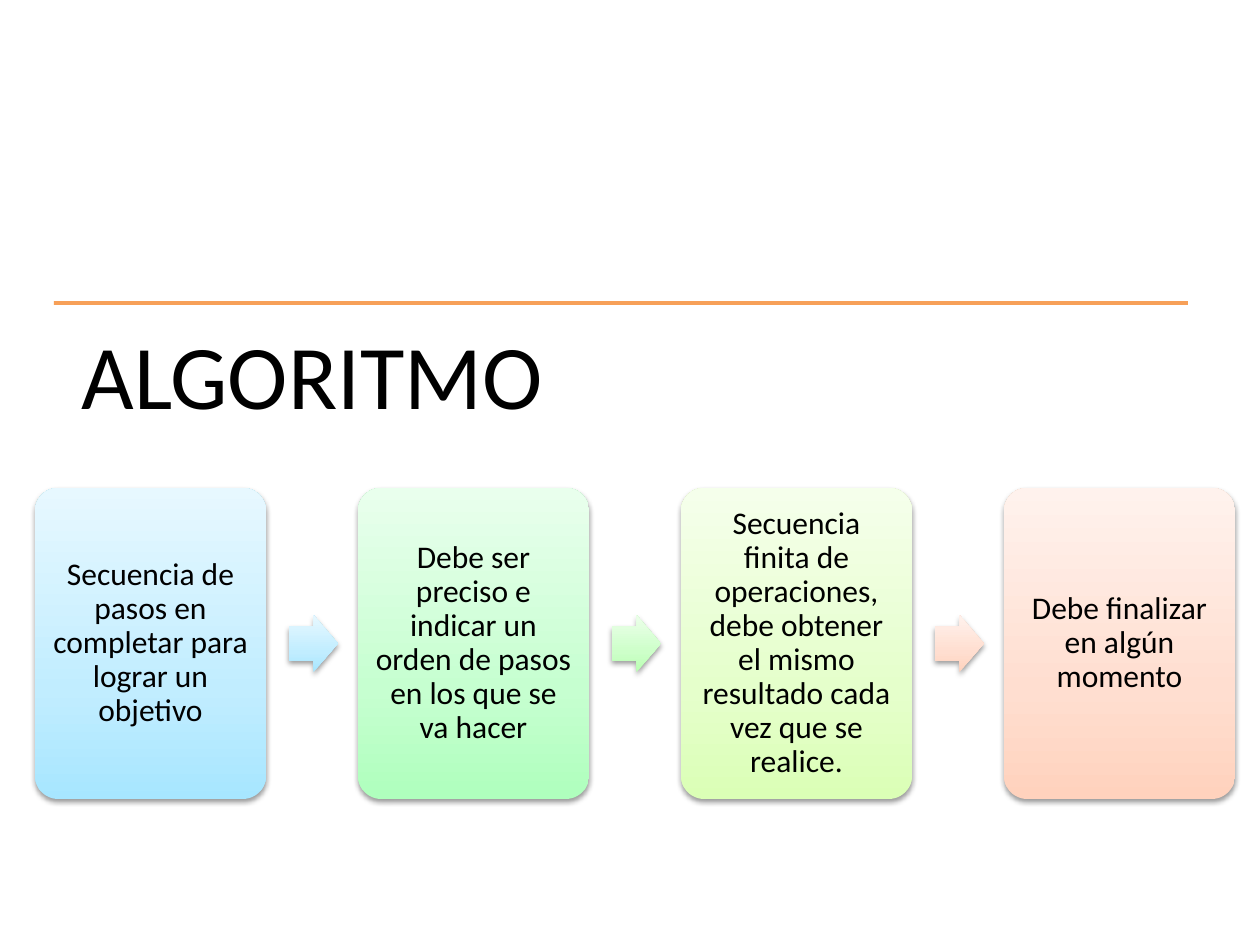
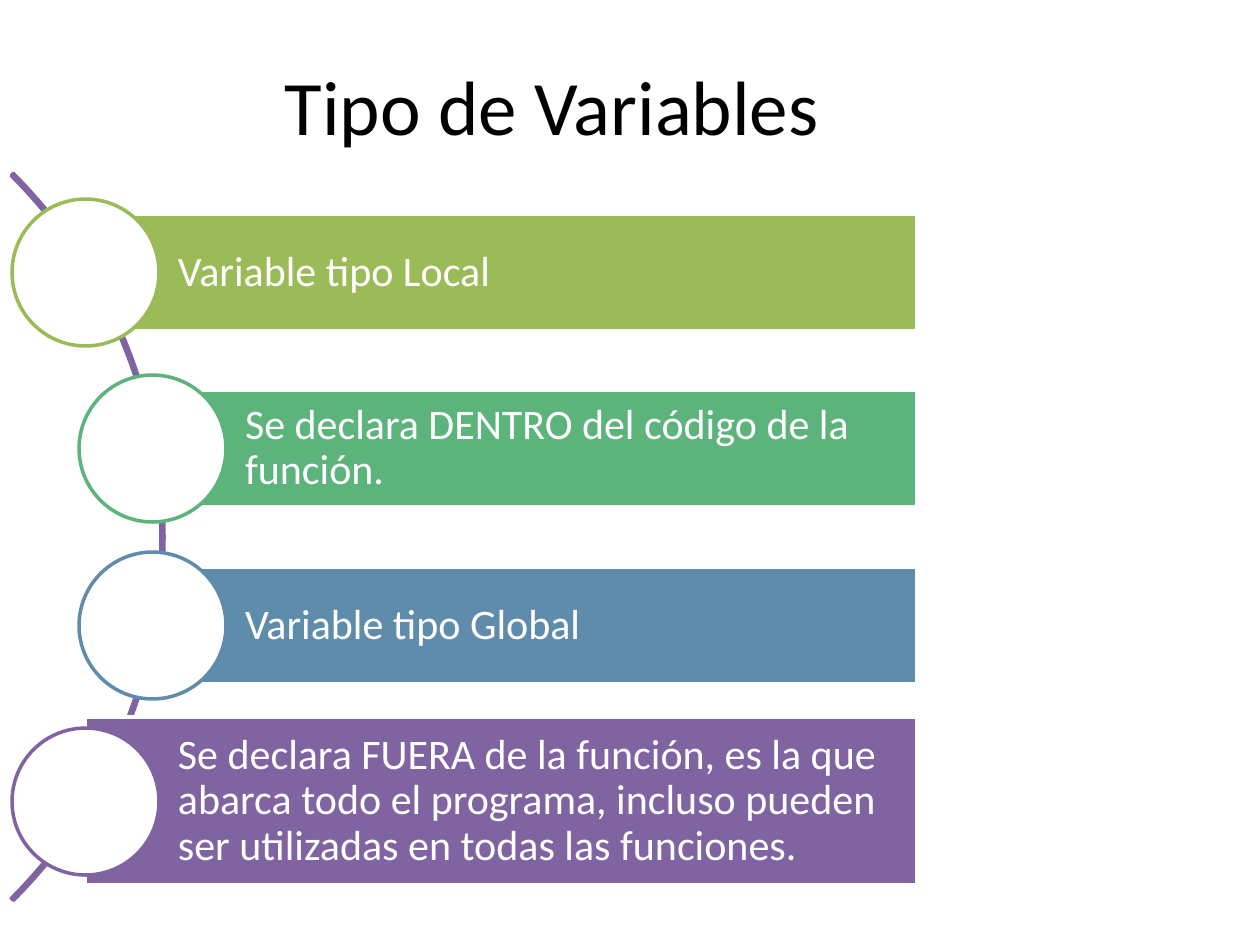
from copy import deepcopy
from dataclasses import dataclass

from lxml import etree
from pptx import Presentation
from pptx import util as u
from pptx.dml.color import RGBColor
from pptx.enum import shapes, text
from pptx.oxml.ns import qn

SHAPE = shapes.MSO_SHAPE
ALIGN = text.PP_ALIGN
ANCHOR = text.MSO_ANCHOR


@dataclass(frozen=True)
class Theme:
    font: str = "Calibri"
    ink: str = "000000"
    paper: str = "FFFFFF"
    rule: str = "F79646"
    # Gradient stops, from the bottom edge to the top edge
    blue: tuple = ("A7E6FF", "C1EDFF", "E7F8FF")
    mint: tuple = ("AFFFBD", "C6FFD0", "E9FFED")
    leaf: tuple = ("B9FFB2", "CDFFC9", "ECFFEA")
    lime: tuple = ("DBFFB6", "E5FFCB", "F5FFEB")
    peach: tuple = ("FFD2BD", "FFDED0", "FFF2ED")
    stops: tuple = (0, 0.35, 1)
    # Bars of the variable list
    olive: str = "9BBB59"
    green: str = "5CB37C"
    steel: str = "608CAB"
    purple: str = "8064A2"
    # Type sizes and line width in points
    heading: int = 52
    title: int = 44
    bar: int = 24
    card: int = 18
    line: int = 2


def px(n):
    return u.Inches(n / 126)


def rgb(value):
    return RGBColor.from_string(value)


class Deck:
    def __init__(self, theme):
        self.theme = theme
        self.prs = Presentation()
        self.prs.slide_width, self.prs.slide_height = px(1260), px(945)
        self.s = None

    def new_slide(self):
        self.s = self.prs.slides.add_slide(self.prs.slide_layouts[6])

    def label(self, sp, words, size, color, align=ALIGN.LEFT,
              anchor=ANCHOR.MIDDLE, insets=(9, 9, 9, 9), spacing=0.9):
        tf = sp.text_frame
        tf.word_wrap = True
        tf.vertical_anchor = anchor
        (tf.margin_left, tf.margin_top,
         tf.margin_right, tf.margin_bottom) = map(px, insets)
        p = tf.paragraphs[0]
        p.text = words
        p.alignment = align
        p.line_spacing = spacing
        p.font.name = self.theme.font
        p.font.size = u.Pt(size)
        p.font.color.rgb = rgb(color)

    def text_box(self, box, words, size, **layout):
        sp = self.s.shapes.add_textbox(*map(px, box))
        self.label(sp, words, size, self.theme.ink, **layout)

    def rule(self, x1, x2, y):
        cx = self.s.shapes.add_connector(
            shapes.MSO_CONNECTOR.STRAIGHT, px(x1), px(y), px(x2), px(y))
        cx.line.color.rgb = rgb(self.theme.rule)
        cx.line.width = u.Pt(self.theme.line)
        spPr = cx._element.spPr
        color = spPr.find(".//" + qn("a:srgbClr"))
        etree.SubElement(color, qn("a:alpha"), val="90000")
        etree.SubElement(spPr, qn("a:effectLst"))

    def shape(self, kind, box, fill=None, line=None, adj=()):
        sp = self.s.shapes.add_shape(kind, *map(px, box))
        sp.shadow.inherit = False
        for i, value in enumerate(adj):
            sp.adjustments[i] = value
        if fill:
            sp.fill.solid()
            sp.fill.fore_color.rgb = rgb(fill)
        else:
            sp.fill.background()
        if line:
            sp.line.color.rgb = rgb(line)
            sp.line.width = u.Pt(self.theme.line)
        else:
            sp.line.fill.background()
        return sp

    def glossy(self, kind, box, colors, adj):
        """A shape with a three-stop gradient and a soft shadow below."""
        sp = self.shape(kind, box, adj=adj)
        sp.fill.gradient()
        sp.fill.gradient_angle = 90
        spPr = sp._element.spPr
        stops = spPr.find(".//" + qn("a:gsLst"))
        stops.insert(1, deepcopy(stops[0]))
        for stop, color, at in zip(sp.fill.gradient_stops, colors,
                                   self.theme.stops):
            stop.color.rgb = rgb(color)
            stop.position = at
        shadow = etree.SubElement(
            spPr.find(qn("a:effectLst")), qn("a:outerShdw"),
            blurRad=str(u.Pt(3.1)), dist=str(u.Pt(1.6)),
            dir="5400000", rotWithShape="0")
        black = etree.SubElement(shadow, qn("a:srgbClr"), val=self.theme.ink)
        etree.SubElement(black, qn("a:alpha"), val="38000")
        return sp


def algorithm_slide(deck):
    t = deck.theme
    deck.new_slide()

    # Heading under its rule
    deck.rule(54, 1188, 303)
    deck.text_box((54, 303, 1134, 158), "ALGORITMO", t.heading,
                  anchor=ANCHOR.TOP, insets=(28, 28, 28, 28))

    # Cards joined by arrows: wording, card colours, colours of the next arrow
    steps = [
        ("Secuencia de pasos en completar para lograr un objetivo",
         t.blue, t.blue),
        ("Debe ser preciso e indicar un orden de pasos en los que se va hacer",
         t.mint, t.leaf),
        ("Secuencia finita de operaciones, debe obtener el mismo resultado "
         "cada vez que se realice.", t.lime, t.peach),
        ("Debe finalizar en algún momento", t.peach, None),
    ]
    for i, (words, card_colors, arrow_colors) in enumerate(steps):
        x = 35 + 323 * i
        card = deck.glossy(SHAPE.ROUNDED_RECTANGLE, (x, 488, 231, 311),
                           card_colors, (0.1,))
        deck.label(card, words, t.card, t.ink, align=ALIGN.CENTER)
        if arrow_colors:
            deck.glossy(SHAPE.RIGHT_ARROW, (x + 254, 615, 49, 57),
                        arrow_colors, (0.6, 0.5))


def variables_slide(deck):
    t = deck.theme
    deck.new_slide()
    deck.text_box((-15, 26, 1134, 158), "Tipo de Variables", t.title,
                  align=ALIGN.CENTER, insets=(13, 6, 13, 6), spacing=1)

    # Arc that carries the circles
    deck.shape(SHAPE.BLOCK_ARC, (-864, 23, 1028, 1028), line=t.purple,
               adj=(189, 27, 0.003))

    # Bars, each starting at the centre of its circle
    size, right = 147, 917
    rows = [
        ("Variable tipo Local", t.olive, 12, 117),
        ("Se declara DENTRO del código de la función.", t.green, 79, 117),
        ("Variable tipo Global", t.steel, 79, 117),
        ("Se declara FUERA de la función, es la que abarca todo el programa, "
         "incluso pueden ser utilizadas en todas las funciones.",
         t.purple, 12, 168),
    ]
    for i, (words, color, x, height) in enumerate(rows):
        y = 199 + i * 353 // 2
        left, middle = x + size // 2, y + size // 2
        bar = deck.shape(
            SHAPE.RECTANGLE,
            (left, middle - height // 2, right - left, height),
            fill=color, line=t.paper)
        deck.label(bar, words, t.bar, t.paper, insets=(93, 9, 9, 9))
        deck.shape(SHAPE.OVAL, (x, y, size, size), fill=t.paper, line=color)


def main():
    deck = Deck(Theme())
    algorithm_slide(deck)
    variables_slide(deck)
    deck.prs.save("out.pptx")


if __name__ == "__main__":
    main()
